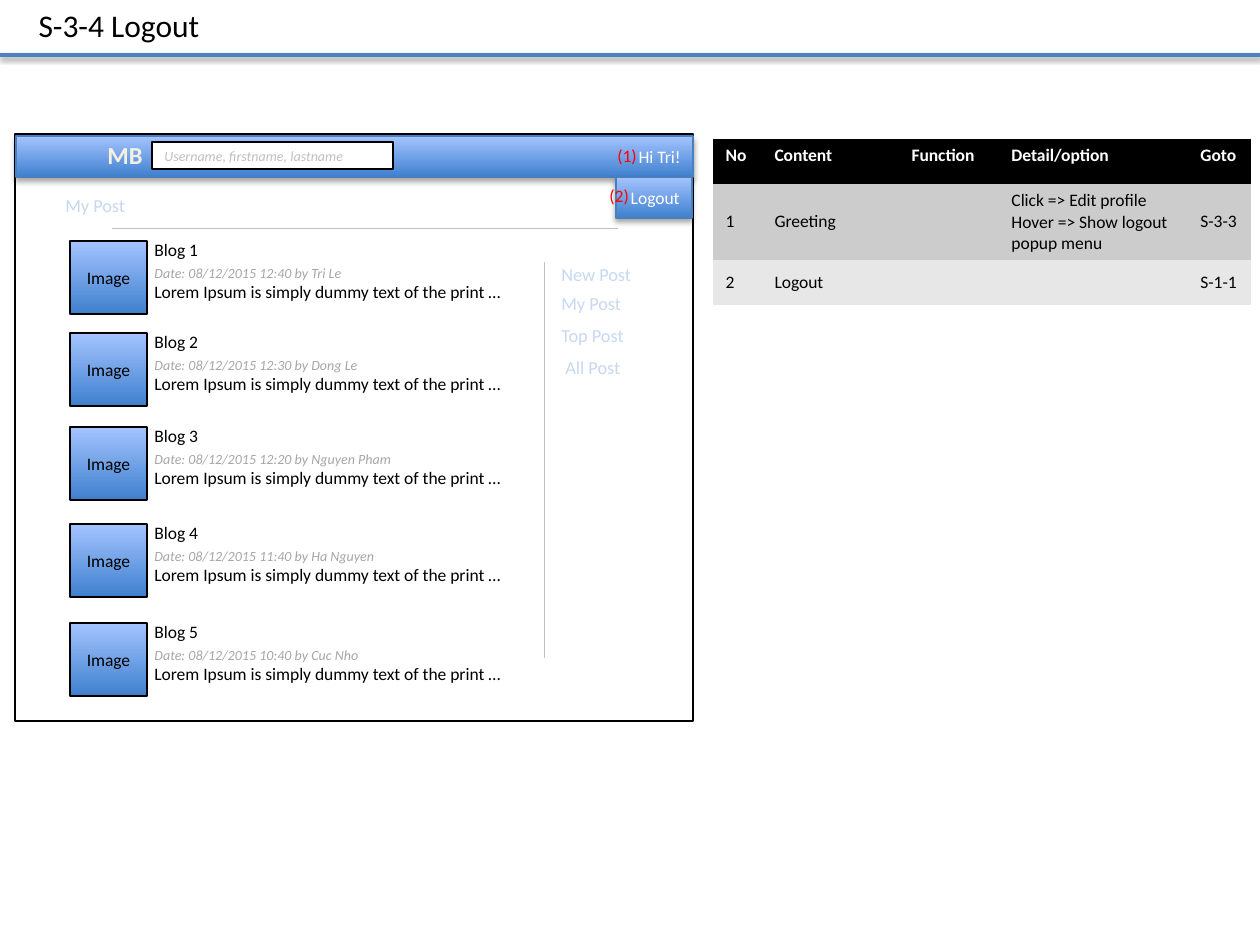
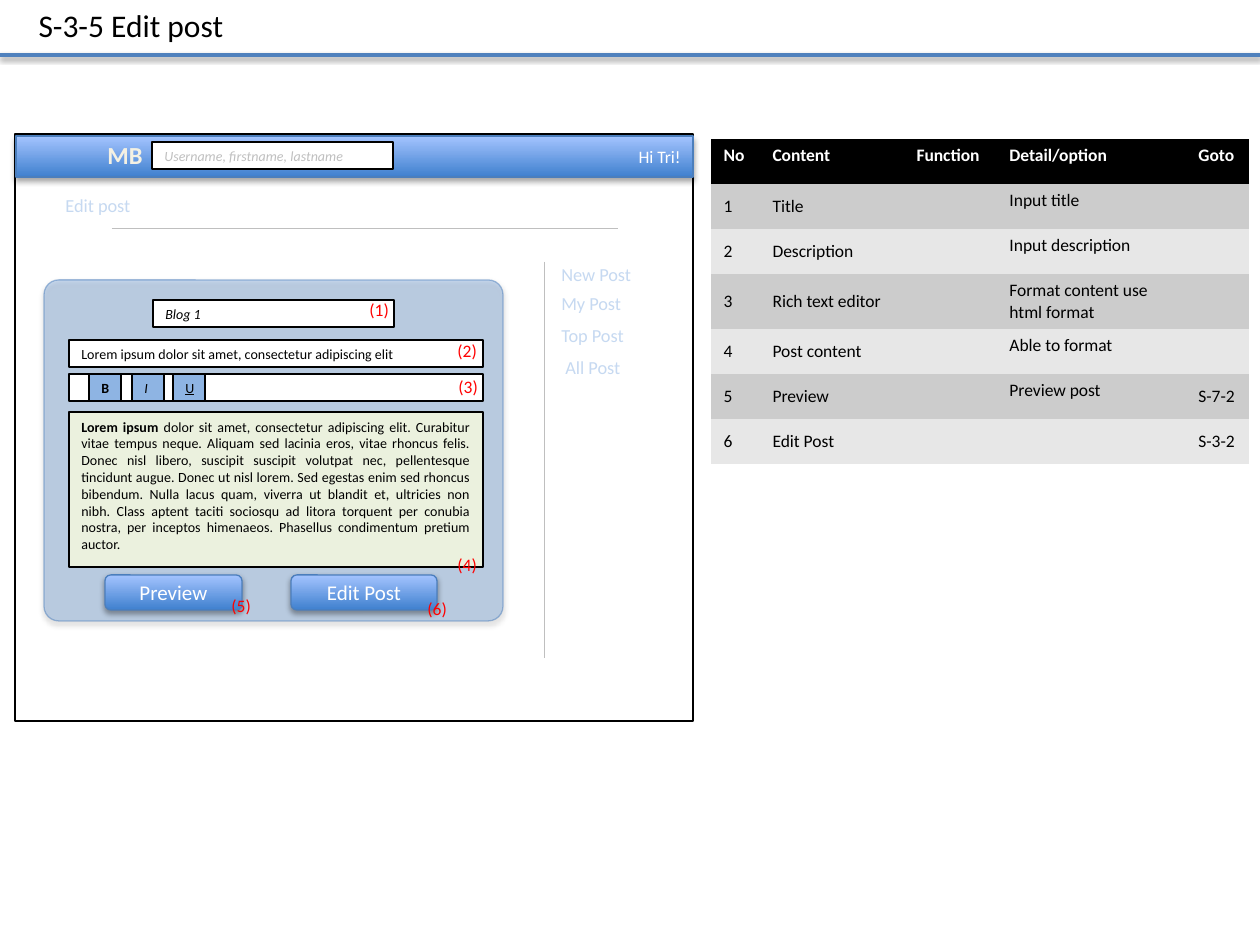
from lxml import etree
from pptx import Presentation
from pptx.dml.color import RGBColor
from pptx.enum import shapes, text
from pptx.oxml.ns import qn
from pptx.util import Emu, Pt

PX = 914400 / 126  # EMU per pixel
FONT = "Calibri"
COLORS = {
    "black": "000000", "white": "FFFFFF", "red": "FF0000", "rule": "4F81BD",
    "dark": "3F80CE", "light": "A4C4FF", "edge": "4B7EBC", "hairline": "BFBFBF",
    "pale": "C6D9F1", "date": "A6A6A6", "cream": "F4F1E3", "logo_edge": "054697",
    "panel": "558ED5", "tool": "8EB4E3", "editor": "EBF1DE",
    "odd": "CCCCCC", "even": "E7E7E7",
}
# Text styles: colour and font values
STYLES = {
    "title": ("black", {"size": Pt(18), "bold": False}),
    "body": ("black", {"size": Pt(10)}),
    "head": ("white", {"size": Pt(10), "bold": True}),
    "bar": ("white", {"size": Pt(10)}),
    "button": ("white", {"size": Pt(12)}),
    "nav": ("pale", {"size": Pt(10.5)}),
    "date": ("date", {"size": Pt(8), "italic": True}),
    "hint": ("hairline", {"size": Pt(8), "italic": True}),
    "mark": ("red", {"size": Pt(10)}),
    "logo": ("cream", {"size": Pt(14), "bold": True}),
    "small": ("black", {"size": Pt(8)}),
    "bold": ("black", {"size": Pt(8), "bold": True}),
    "italic": ("black", {"size": Pt(8), "italic": True}),
    "underline": ("black", {"size": Pt(8), "underline": True}),
}
RECT = shapes.MSO_SHAPE.RECTANGLE
ROUND = shapes.MSO_SHAPE.ROUNDED_RECTANGLE
TOP, MIDDLE = text.MSO_ANCHOR.TOP, text.MSO_ANCHOR.MIDDLE
LEFT, CENTER, RIGHT, JUSTIFY = (
    text.PP_ALIGN.LEFT, text.PP_ALIGN.CENTER, text.PP_ALIGN.RIGHT, text.PP_ALIGN.JUSTIFY)
HEADINGS = ("No", "Content", "Function", "Detail/option", "Goto")
DETAIL = HEADINGS.index("Detail/option")
LOREM = (
    " dolor sit amet, consectetur adipiscing elit. Curabitur vitae tempus neque. "
    "Aliquam sed lacinia eros, vitae rhoncus felis. Donec nisl libero, suscipit "
    "suscipit volutpat nec, pellentesque tincidunt augue. Donec ut nisl lorem. Sed "
    "egestas enim sed rhoncus bibendum. Nulla lacus quam, viverra ut blandit et, "
    "ultricies non nibh. Class aptent taciti sociosqu ad litora torquent per conubia "
    "nostra, per inceptos himenaeos. Phasellus condimentum pretium auctor.")


def px(*values):
    return [Emu(round(v * PX)) for v in values]


def rgb(name):
    return RGBColor.from_string(COLORS[name])


def add_color(parent, name, alpha=None):
    clr = etree.SubElement(parent, qn("a:srgbClr"), val=COLORS[name])
    if alpha is not None:
        etree.SubElement(clr, qn("a:alpha"), val=str(alpha * 1000))


def set_alpha(fill_parent, alpha):
    clr = fill_parent.find(qn("a:solidFill")).find(qn("a:srgbClr"))
    etree.SubElement(clr, qn("a:alpha"), val=str(alpha * 1000))


def add_shadow(effects, alpha, dist):
    shadow = etree.SubElement(
        effects, qn("a:outerShdw"), blurRad=str(Pt(3.1)), dist=str(Pt(dist)),
        dir="5400000", rotWithShape="0")
    add_color(shadow, "black", alpha)


def write(p, content, style, align=LEFT):
    """Fill a paragraph; a newline becomes a line break."""
    color, values = STYLES[style]
    p.alignment = align
    for i, part in enumerate(content.split("\n")):
        if i:
            p.add_line_break()
        r = p.add_run()
        r.text = part
        r.font.name = FONT
        r.font.color.rgb = rgb(color)
        for key, value in values.items():
            setattr(r.font, key, value)
    return r


def label(slide, at, content, style, align=LEFT, wrap=False):
    tf = slide.shapes.add_textbox(*px(*at)).text_frame
    tf.word_wrap = wrap
    tf.auto_size = text.MSO_AUTO_SIZE.SHAPE_TO_FIT_TEXT
    return write(tf.paragraphs[0], content, style, align)


def box(slide, at, fill="white", line="black", kind=RECT, runs=(), align=LEFT,
        anchor=MIDDLE, shadow=False):
    sp = slide.shapes.add_shape(kind, *px(*at))
    sp.shadow.inherit = False
    if fill == "gradient":
        sp.fill.gradient()
        sp.fill.gradient_angle = 90
        for stop, name in zip(sp.fill.gradient_stops, ("dark", "light")):
            stop.color.rgb = rgb(name)
    else:
        sp.fill.solid()
        sp.fill.fore_color.rgb = rgb(fill)
    sp.line.color.rgb = rgb(line)
    sp.line.width = Pt(0.75)
    if shadow:
        add_shadow(sp._element.spPr.find(qn("a:effectLst")), 35, 1.8)
    tf = sp.text_frame
    tf.word_wrap = True
    tf.vertical_anchor = anchor
    for content, style in runs:
        write(tf.paragraphs[0], content, style, align)
    return sp


def rule(slide, x1, y1, x2, y2, color="hairline", width=0.25, shadow=False):
    line = slide.shapes.add_connector(
        shapes.MSO_CONNECTOR.STRAIGHT, *px(x1, y1, x2, y2))
    line.line.color.rgb = rgb(color)
    line.line.width = Pt(width)
    effects = etree.SubElement(line._element.spPr, qn("a:effectLst"))
    if shadow:
        add_shadow(effects, 38, 1.6)


def marks(slide, places):
    for number, (x, y) in enumerate(places, 1):
        label(slide, (x, y, 45, 34), f"({number})", "mark")


def spec_table(slide, x, y, widths, rows):
    grid = [HEADINGS, *rows]
    height = 45
    table = slide.shapes.add_table(
        len(grid), len(widths), *px(x, y, sum(widths), height * len(grid))).table
    style_id = table._tbl.tblPr.find(qn("a:tableStyleId"))
    style_id.text = "{2D5ABB26-0587-4C30-8999-92F81FD0307C}"  # no style, no grid
    for column, width in zip(table.columns, px(*widths)):
        column.width = width
    for i, values in enumerate(grid):
        table.rows[i].height = px(height)[0]
        for j, value in enumerate(values):
            cell = table.cell(i, j)
            cell.fill.solid()
            cell.fill.fore_color.rgb = rgb(
                "black" if i == 0 else "odd" if i % 2 else "even")
            cell.vertical_anchor = TOP if i == 0 or j == DETAIL else MIDDLE
            p = cell.text_frame.paragraphs[0]
            if value:
                write(p, value, "body" if i else "head")
            else:  # keeps the row from growing
                etree.SubElement(p._p, qn("a:endParaRPr"), sz="1000")


def add_page(prs, title, title_width, heading, heading_width):
    """Title, header rule and the page mock-up that both slides share."""
    slide = prs.slides.add_slide(prs.slide_layouts[5])
    sp = slide.shapes.title
    sp.left, sp.top, sp.width, sp.height = px(26, 0, title_width, 50)
    tf = sp.text_frame
    tf.word_wrap = False
    tf.auto_size = text.MSO_AUTO_SIZE.SHAPE_TO_FIT_TEXT
    tf.vertical_anchor = TOP
    write(tf.paragraphs[0], title, "title")
    rule(slide, 0, 55, 1260, 55, "rule", 2, shadow=True)

    # Window and top bar
    box(slide, (15, 134, 678, 587))
    box(slide, (16, 136, 677, 41), "gradient", "edge",
        runs=[("Hi Tri!", "bar")], align=RIGHT, shadow=True)
    logo = label(slide, (95, 134, 60, 43), "MB", "logo", CENTER)
    outline = etree.Element(qn("a:ln"), w=str(Pt(1)))
    add_color(etree.SubElement(outline, qn("a:solidFill")), "logo_edge")
    logo.font._element.insert(0, outline)
    box(slide, (152, 142, 241, 27), runs=[("Username, firstname, lastname", "hint")])

    # Section heading and side menu
    label(slide, (53, 188, heading_width, 35), heading, "nav")
    rule(slide, 112, 228, 618, 228)
    rule(slide, 544, 262, 544, 658)
    for x, y, width, item in ((549, 257, 97, "New Post"), (549, 286, 87, "My Post "),
                              (549, 318, 91, "Top Post "), (553, 350, 82, "All Post ")):
        label(slide, (x, y, width, 35), item, "nav")
    return slide


def blog_entry(slide, number, y, date, date_width):
    label(slide, (142, y, 69, 34), f"Blog {number}", "body")
    label(slide, (142, y + 25, date_width, 30), f"Date: 08/12/2015 {date}", "date")
    label(slide, (142, y + 42, 442, 34),
          "Lorem Ipsum is simply dummy text of the print …", "body", JUSTIFY, wrap=True)
    box(slide, (70, y + 8, 77, 73), "gradient", runs=[("Image", "body")], align=CENTER)


def logout_slide(prs):
    slide = add_page(prs, "S-3-4 Logout", 188, "My Post ", 87)
    spec_table(slide, 713, 139, (49, 137, 100, 189, 63), [
        ("1", "Greeting", "",
         "Click => Edit profile\nHover => Show logout popup menu", "S-3-3"),
        ("2", "Logout", "", "", "S-1-1"),
    ])
    entries = ((233, "12:40 by Tri Le", 219), (325, "12:30 by Dong Le", 234),
               (419, "12:20 by Nguyen Pham", 268), (516, "11:40 by Ha Nguyen", 251),
               (615, "10:40 by Cuc Nho", 236))
    for number, entry in enumerate(entries, 1):
        blog_entry(slide, number, *entry)

    # Logout popup
    box(slide, (616, 177, 76, 41), "gradient", "edge",
        runs=[("Logout", "bar")], align=RIGHT, shadow=True)
    marks(slide, [(605, 139), (597, 179)])


def edit_slide(prs):
    slide = add_page(prs, "S-3-5 Edit post", 213, "Edit post", 92)
    spec_table(slide, 711, 139, (49, 144, 93, 189, 63), [
        ("1", "Title", "", "Input title", ""),
        ("2", "Description", "", "Input description", ""),
        ("3", "Rich text editor", "", "Format content use html format", ""),
        ("4", "Post content", "", "Able to format", ""),
        ("5", "Preview", "", "Preview post", "S-7-2"),
        ("6", "Edit Post", "", "", "S-3-2"),
    ])

    # Form panel
    panel = box(slide, (44, 280, 459, 341), "panel", "edge", ROUND, shadow=True)
    panel.adjustments[0] = 0.043
    set_alpha(panel._element.spPr, 30)
    set_alpha(panel._element.spPr.find(qn("a:ln")), 50)

    # Fields and toolbar
    box(slide, (153, 300, 241, 27), runs=[("Blog 1", "italic")])
    box(slide, (69, 340, 414, 27),
        runs=[("Lorem ipsum dolor sit amet, consectetur adipiscing elit", "small")])
    box(slide, (69, 412, 414, 155), "editor", align=JUSTIFY, anchor=TOP,
        runs=[("Lorem ipsum", "bold"), (LOREM, "small")])
    box(slide, (69, 374, 414, 27))
    for x, letter, style in ((89, "B", "bold"), (132, "I", "italic"),
                             (173, "U", "underline")):
        box(slide, (x, 374, 32, 27), "tool", runs=[(letter, style)])

    # Buttons
    for x, width, caption in ((105, 137, "Preview"), (291, 146, "Edit Post")):
        box(slide, (x, 575, width, 35), "gradient", "edge", ROUND,
            [(caption, "button")], CENTER, shadow=True)
    marks(slide, [(357, 293), (445, 334), (446, 370), (445, 548), (219, 589), (415, 592)])


def main():
    prs = Presentation()
    prs.slide_width, prs.slide_height = px(1260, 945)
    logout_slide(prs)
    edit_slide(prs)
    prs.save("out.pptx")


main()
